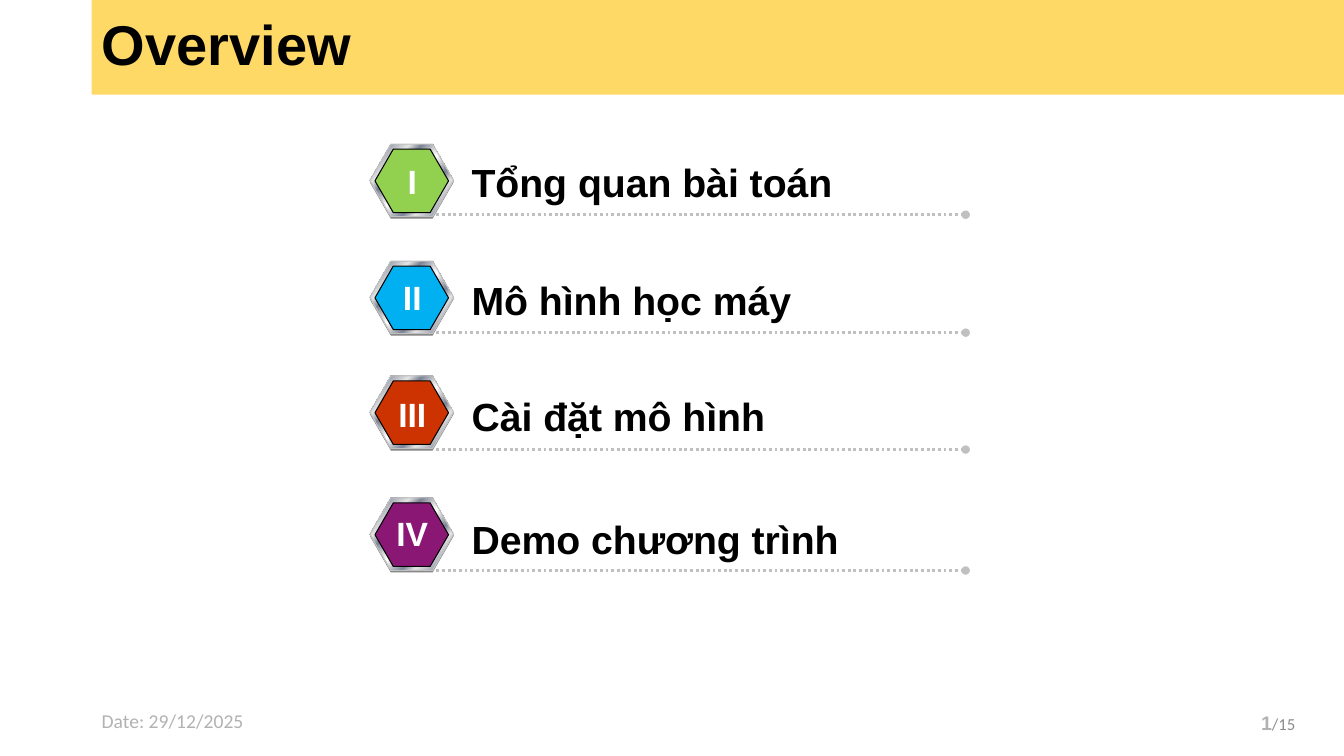
from lxml import etree
from pptx import Presentation
from pptx import util as u
from pptx.dml.color import RGBColor
from pptx.enum import dml, shapes, text
from pptx.oxml.ns import qn

PX = 9144  # 100 px to the inch
HUES = {"band": "FFD966", "ink": "000000", "white": "FFFFFF", "foot": "B2B2B2",
        "total": "8C8C8C", "rule": "C0C0C0", "shade": "808080", "green": "92D050",
        "blue": "00B0F0", "red": "CC3300", "plum": "8B1775",
        "light": "E6E6E6", "steel": "7D8496"}
METAL = [(0, "light"), (7, "steel"), (26, "light"), (34, "steel"), (46, "light"),
         (50, "white"), (54, "light"), (66, "steel"), (74, "light"), (93, "steel"),
         (100, "light")]
# numeral, label, hue, then tops of badge, rule, label and numeral
ROWS = [("I", "Tổng quan bài toán", "green", 143, 213, 152, 155),
        ("II", "Mô hình học máy", "blue", 259, 330, 269, 270),
        ("III", "Cài đặt mô hình", "red", 373, 446, 384, 386),
        ("IV", "Demo chương trình", "plum", 494, 566, 506, 504)]
LEFT, MID, RIGHT = text.PP_ALIGN.LEFT, text.PP_ALIGN.CENTER, text.PP_ALIGN.RIGHT
NONE, GROW = text.MSO_AUTO_SIZE.NONE, text.MSO_AUTO_SIZE.SHAPE_TO_FIT_TEXT


def rgb(name):
    return RGBColor.from_string(HUES[name])


def write(shape, runs, align=LEFT, **form):
    """Fill a shape with one paragraph of (text, size, font, hue, bold) runs."""
    frame = shape.text_frame
    for key, val in form.items():
        setattr(frame, key, val)
    para = frame.paragraphs[0]
    para.alignment = align
    for words, size, face, hue, bold in runs:
        run = para.add_run()
        run.text = words
        for key, val in {"size": u.Pt(size), "name": face, "bold": bold}.items():
            setattr(run.font, key, val)
        run.font.color.rgb = rgb(hue)


deck = Presentation()
deck.slide_width, deck.slide_height = u.Inches(13.333), u.Inches(7.5)
slide = deck.slides.add_slide(deck.slide_layouts[5])
parts = slide.shapes
foot = {"word_wrap": True, "auto_size": NONE,
        "vertical_anchor": text.MSO_ANCHOR.MIDDLE}

# Title band
title = parts.title
for key, val in {"left": 91, "top": 0, "width": 1243, "height": 94}.items():
    setattr(title, key, val * PX)
title.fill.solid()
title.fill.fore_color.rgb = rgb("band")
write(title, [("Overview", 40, "Arial", "ink", True)], **foot)
title.text_frame.paragraphs[0].line_spacing = 0.9

# Footer
page = parts.add_textbox(997 * PX, 697 * PX, 298 * PX, 40 * PX)
write(page, [("1", 14, "Arial", "foot", True),
             ("/15", 12, "Calibri", "total", False)], RIGHT, **foot)
date = parts.add_textbox(91 * PX, 695 * PX, 221 * PX, 40 * PX)
write(date, [("Date: 29/12/2025", 14, "Calibri", "foot", False)], **foot)

# Agenda
for num, label, hue, top, base, y, num_y in ROWS:
    rule = parts.add_connector(shapes.MSO_CONNECTOR.STRAIGHT,
                               433 * PX, base * PX, 958 * PX, base * PX)
    rule.line.color.rgb = rgb("rule")
    rule.line.width = u.Pt(2)
    rule.line.dash_style = dml.MSO_LINE.ROUND_DOT
    props = rule._element.spPr
    etree.SubElement(props.find(qn("a:ln")), qn("a:tailEnd"), type="oval")
    etree.SubElement(props, qn("a:effectLst"))

    badge = parts.add_group_shape()
    for left, dy, wide, high, fill, edge in [(367, 2, 83, 72, "shade", None),
                                             (367, 0, 83, 72, None, "rule"),
                                             (372, 5, 73, 63, hue, "ink")]:
        hexa = badge.shapes.add_shape(shapes.MSO_SHAPE.HEXAGON, left * PX,
                                      (top + dy) * PX, wide * PX, high * PX)
        hexa.shadow.inherit = False
        hexa.adjustments[0] = 0.289
        if fill:
            hexa.fill.solid()
            hexa.fill.fore_color.rgb = rgb(fill)
        else:
            hexa.fill.gradient()
            hexa.fill.gradient_angle = 315
            stops = hexa._element.spPr.find(".//" + qn("a:gsLst"))
            stops[:] = []
            for pos, tone in METAL:
                stop = etree.SubElement(stops, qn("a:gs"), pos=str(pos * 1000))
                etree.SubElement(stop, qn("a:srgbClr"), val=HUES[tone])
        if edge:
            hexa.line.color.rgb = rgb(edge)
            hexa.line.width = u.Pt(0.75)
        else:
            hexa.line.fill.background()

    name = parts.add_textbox(458 * PX, y * PX, 500 * PX, 57 * PX)
    write(name, [(label, 28, "Arial", "ink", True)], word_wrap=True, auto_size=GROW)
    mark = parts.add_textbox(383 * PX, num_y * PX, 52 * PX, 50 * PX)
    write(mark, [(num, 24, "Arial", "white", True)], MID,
          word_wrap=False, auto_size=GROW)

deck.save("out.pptx")
